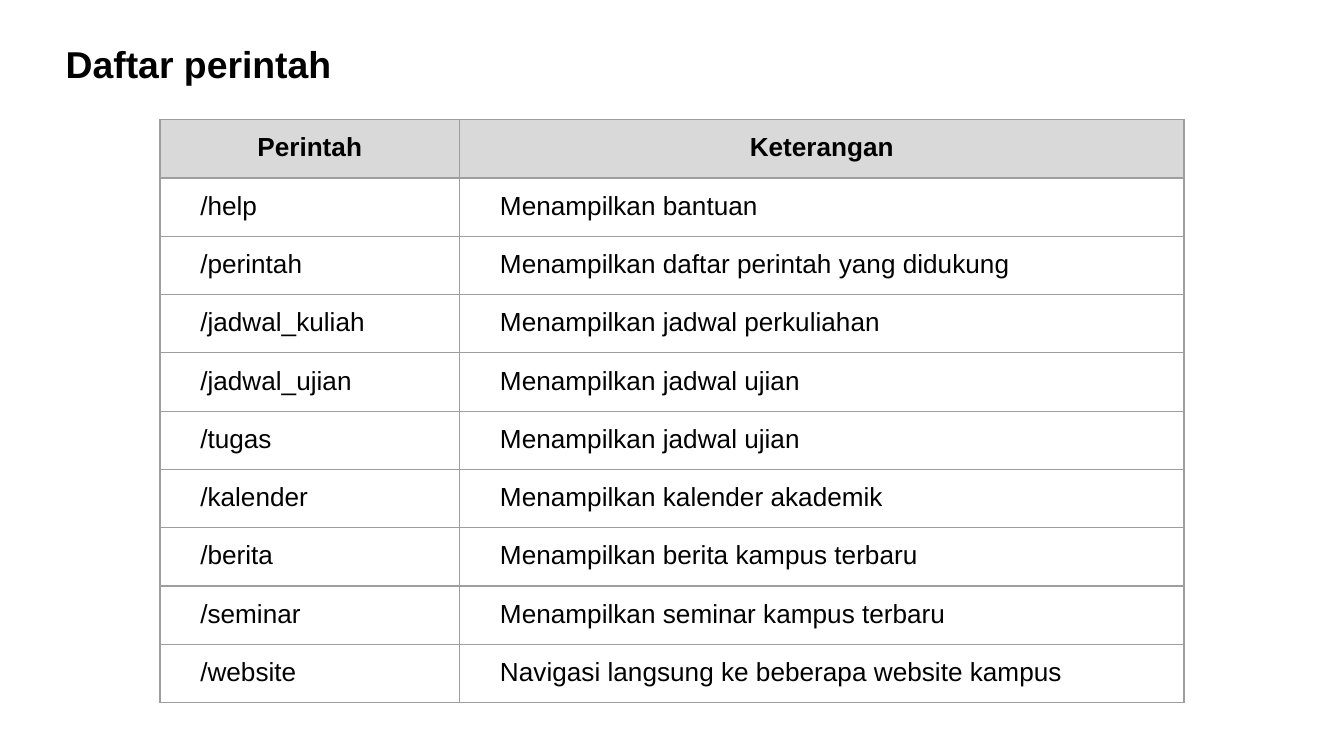
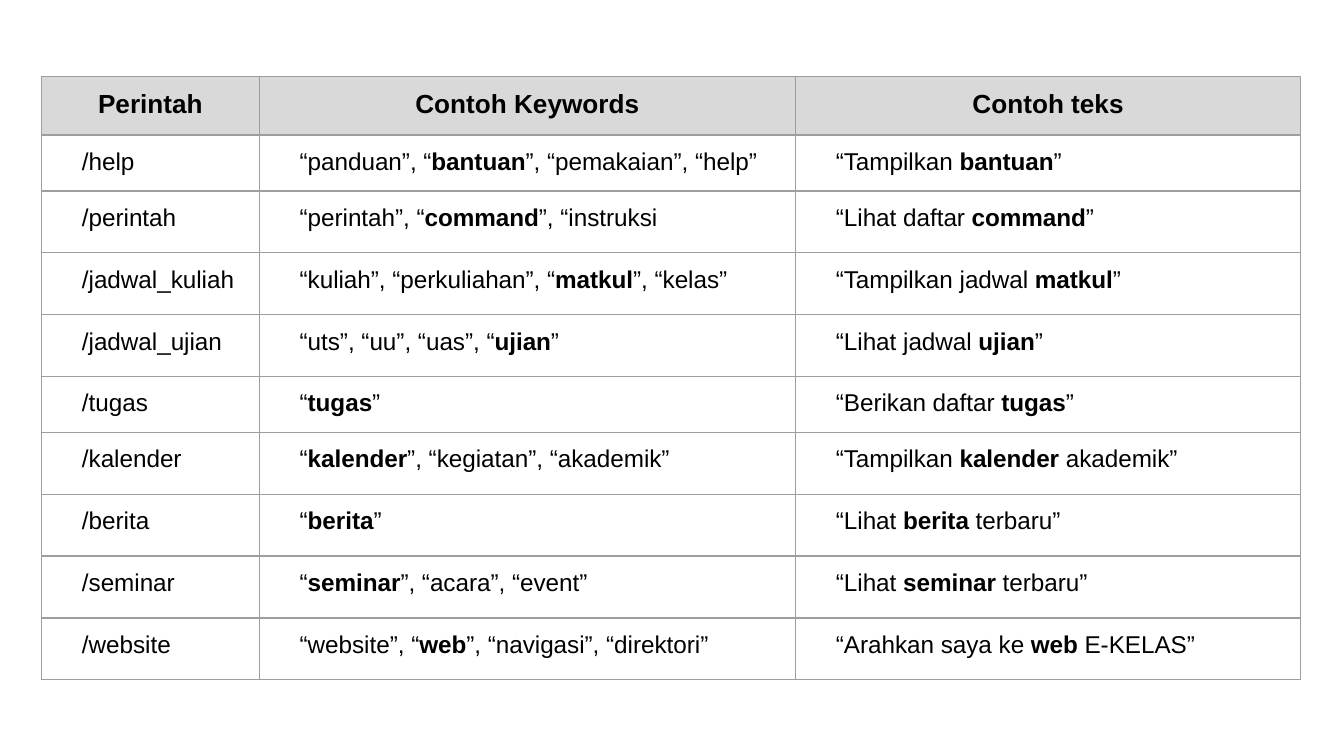
"""Build two slides that list chatbot commands and their keywords."""
from lxml.etree import SubElement
from pptx import Presentation
from pptx.dml.color import RGBColor
from pptx.enum.text import MSO_AUTO_SIZE as AutoSize, PP_ALIGN as Align
from pptx.oxml.ns import qn
from pptx.util import Emu, Inches, Pt

COLORS = {"text": "000000", "header": "D9D9D9", "border": "9E9E9E"}
FONT = "Arial"
SLIDE_SIZE = (10, 5.625)
INSET = 0.1
INDENT = 0.2
BORDER_WIDTH = 0.75
BOLD_MARK = "*"

TITLE = "Daftar perintah"
COMMANDS = [
    ("Perintah", "Keterangan"),
    ("/help", "Menampilkan bantuan"),
    ("/perintah", "Menampilkan daftar perintah yang didukung"),
    ("/jadwal_kuliah", "Menampilkan jadwal perkuliahan"),
    ("/jadwal_ujian", "Menampilkan jadwal ujian"),
    ("/tugas", "Menampilkan jadwal ujian"),
    ("/kalender", "Menampilkan kalender akademik"),
    ("/berita", "Menampilkan berita kampus terbaru"),
    ("/seminar", "Menampilkan seminar kampus terbaru"),
    ("/website", "Navigasi langsung ke beberapa website kampus"),
]
KEYWORDS = [
    ("Perintah", "Contoh Keywords", "Contoh teks"),
    ("/help", "“panduan”, “*bantuan*”, “pemakaian”, “help”", "“Tampilkan *bantuan*”"),
    ("/perintah", "“perintah”, “*command*”, “instruksi", "“Lihat daftar *command*”"),
    ("/jadwal_kuliah", "“kuliah”, “perkuliahan”, “*matkul*”, “kelas”", "“Tampilkan jadwal *matkul*”"),
    ("/jadwal_ujian", "“uts”, “uu”, “uas”, “*ujian*”", "“Lihat jadwal *ujian*”"),
    ("/tugas", "“*tugas*”", "“Berikan daftar *tugas*”"),
    ("/kalender", "“*kalender*”, “kegiatan”, “akademik”", "“Tampilkan *kalender* akademik”"),
    ("/berita", "“*berita*”", "“Lihat *berita* terbaru”"),
    ("/seminar", "“*seminar*”, “acara”, “event”", "“Lihat *seminar* terbaru”"),
    ("/website", "“website”, “*web*”, “navigasi”, “direktori”", "“Arahkan saya ke *web* E-KELAS”"),
]
ROW_HEIGHT = 0.43
HEADER_HEIGHT, SHORT_ROW, TALL_ROW = 0.41, 0.37, 0.46
SHORT_COMMANDS = ("/help", "/tugas")


def set_insets(frame):
    """Give a text box or cell the shared margins."""
    for side in ("left", "right", "top", "bottom"):
        setattr(frame, f"margin_{side}", Inches(INSET))


def set_font(paragraph, size, bold=None):
    """Apply the shared typeface and colour to a paragraph."""
    font = paragraph.font
    font.name, font.size, font.bold = FONT, Pt(size), bold
    font.color.rgb = RGBColor.from_string(COLORS["text"])


def add_title(slide, text):
    """Add the slide title."""
    box = slide.shapes.add_textbox(*map(Inches, (0.39, 0.21, 9.13, 0.54)))
    frame = box.text_frame
    frame.word_wrap = True
    frame.auto_size = AutoSize.SHAPE_TO_FIT_TEXT
    set_insets(frame)
    frame.text = text
    set_font(frame.paragraphs[0], 20, True)


def add_borders(cell):
    """Draw a thin line on each side of a cell."""
    properties = cell._tc.get_or_add_tcPr()
    for position, side in enumerate(("lnL", "lnR", "lnT", "lnB")):
        line = properties.makeelement(qn(f"a:{side}"), {"w": str(Pt(BORDER_WIDTH))})
        fill = SubElement(line, qn("a:solidFill"))
        SubElement(fill, qn("a:srgbClr"), val=COLORS["border"])
        properties.insert(position, line)


def fill_cell(cell, text, is_header, size):
    """Write and style one cell, with marked words in bold."""
    set_insets(cell)
    paragraph = cell.text_frame.paragraphs[0]
    set_font(paragraph, size, is_header)
    for index, part in enumerate(text.split(BOLD_MARK)):
        run = paragraph.add_run()
        run.text = part
        if index % 2:
            run.font.bold = True
    if is_header:
        paragraph.alignment = Align.CENTER
        cell.fill.solid()
        cell.fill.fore_color.rgb = RGBColor.from_string(COLORS["header"])
    else:
        paragraph._p.get_or_add_pPr().set("marL", str(Inches(INDENT)))
        cell.fill.background()
    add_borders(cell)


def add_command_table(slide, left, top, rows, widths, heights, body_size):
    """Add a bordered table with a shaded header row."""
    frame = slide.shapes.add_table(
        len(rows), len(widths), Inches(left), Inches(top),
        Inches(sum(widths)), Inches(sum(heights)))
    table = frame.table
    table.first_row = table.horz_banding = False
    for column, width in zip(table.columns, widths):
        column.width = Inches(width)
    for index, (row, height, texts) in enumerate(zip(table.rows, heights, rows)):
        row.height = Inches(height)
        for cell, text in zip(row.cells, texts):
            fill_cell(cell, text, index == 0, body_size if index else 14)


def main():
    """Create the presentation and save it."""
    presentation = Presentation()
    presentation.slide_width, presentation.slide_height = (
        Emu(Inches(length)) for length in SLIDE_SIZE)
    blank = presentation.slide_layouts[6]

    slide = presentation.slides.add_slide(blank)
    add_title(slide, TITLE)
    add_command_table(slide, 1.19, 0.89, COMMANDS, (2.23, 5.39),
                      [ROW_HEIGHT] * len(COMMANDS), 14)

    slide = presentation.slides.add_slide(blank)
    heights = [HEADER_HEIGHT] + [
        SHORT_ROW if row[0] in SHORT_COMMANDS else TALL_ROW for row in KEYWORDS[1:]]
    add_command_table(slide, 0.31, 0.57, KEYWORDS, (1.62, 3.99, 3.76), heights, 13)

    presentation.save("out.pptx")


if __name__ == "__main__":
    main()
